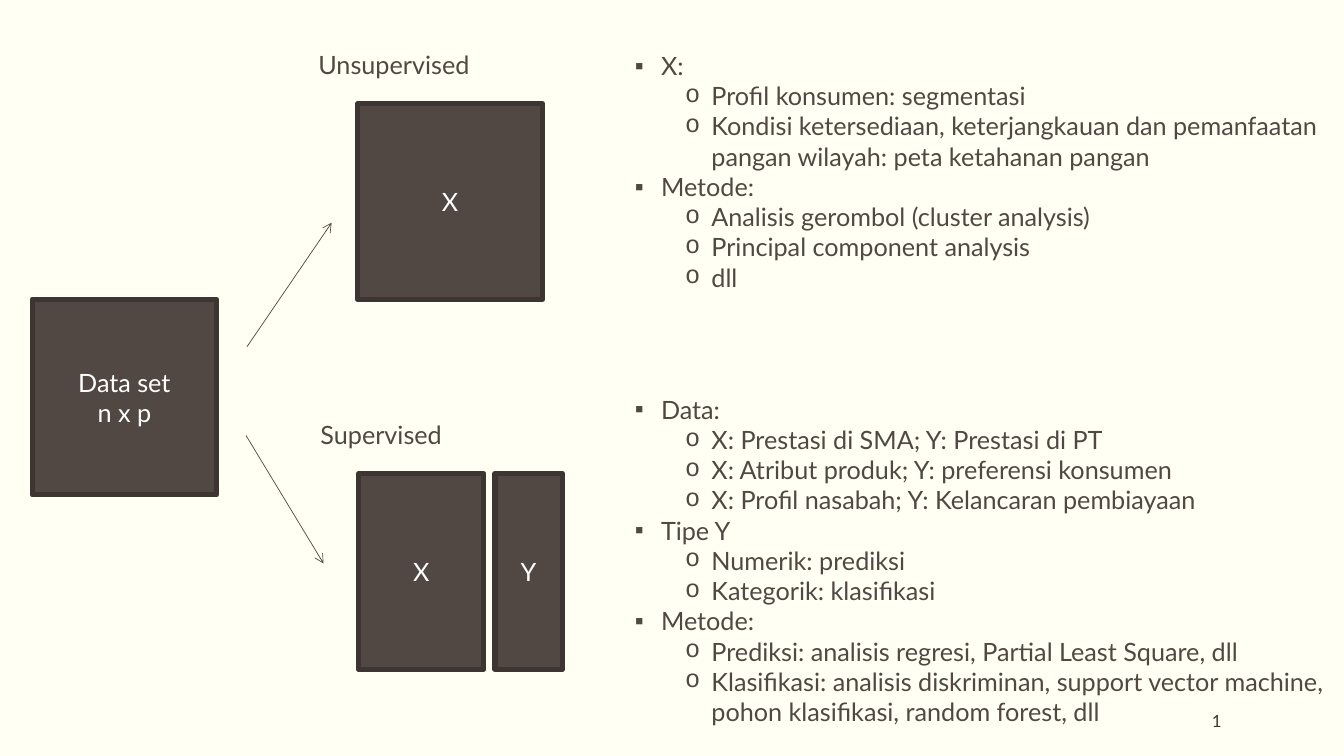
"""Build a slide that compares unsupervised and supervised learning."""
from lxml import etree
from pptx import Presentation
from pptx import util as u
from pptx.dml.color import RGBColor
from pptx.enum import shapes, text
from pptx.oxml import ns

IVORY = RGBColor(0xFF, 0xFF, 0xF3)
BROWN = RGBColor(0x51, 0x48, 0x43)
DARK = RGBColor(0x3C, 0x35, 0x32)
NUMBER = RGBColor(0x3D, 0x36, 0x32)
WHITE = RGBColor(0xFF, 0xFF, 0xFF)
BOX_HEIGHT = 139.7
BULLETS = [("▪", "Arial", 18.7), ("o", "Courier New", 54.7)]
HANGING = 18.7


def add_span(para, words, color, size=18):
    span = para.add_run()
    span.text = words
    span.font.name = "Lato"
    span.font.size = u.Pt(size)
    span.font.color.rgb = color


def add_text_box(left, top, width, height):
    box = page.shapes.add_textbox(u.Pt(left), u.Pt(top), u.Pt(width), u.Pt(height))
    box.text_frame.word_wrap = True
    return box.text_frame


deck = Presentation()
deck.slide_width, deck.slide_height = u.Pt(960), u.Pt(540)
page = deck.slides.add_slide(deck.slide_layouts[6])
page.background.fill.solid()
page.background.fill.fore_color.rgb = IVORY

data_boxes = [
    (23, 213.8, 131.8, ["Data set", "n x p"]),
    (255.6, 74.2, 131.8, ["X"]),
    (256.3, 338.4, 89.3, ["X"]),
    (353.5, 338.4, 48.2, ["Y"]),
]
for left, top, width, lines in data_boxes:
    box = page.shapes.add_shape(shapes.MSO_SHAPE.RECTANGLE, u.Pt(left), u.Pt(top),
                                u.Pt(width), u.Pt(BOX_HEIGHT))
    box.shadow.inherit = False
    box.fill.solid()
    box.fill.fore_color.rgb = BROWN
    box.line.color.rgb = DARK
    box.line.width = u.Pt(3.78)
    frame = box.text_frame
    frame.vertical_anchor = text.MSO_ANCHOR.MIDDLE
    for index, line in enumerate(lines):
        para = frame.add_paragraph() if index else frame.paragraphs[0]
        para.alignment = text.PP_ALIGN.CENTER
        add_span(para, line, WHITE)

for left, top, title in [(220.3, 31.7, "Unsupervised"), (221.8, 295.9, "Supervised")]:
    frame = add_text_box(left, top, 150.5, 28.8)
    add_span(frame.paragraphs[0], title, BROWN)

unsupervised_notes = [
    (0, "X:"),
    (1, "Profil konsumen: segmentasi"),
    (1, "Kondisi ketersediaan, keterjangkauan dan pemanfaatan pangan wilayah: "
        "peta ketahanan pangan"),
    (0, "Metode:"),
    (1, "Analisis gerombol (cluster analysis)"),
    (1, "Principal component analysis"),
    (1, "dll"),
]
supervised_notes = [
    (0, "Data:"),
    (1, "X: Prestasi di SMA; Y: Prestasi di PT"),
    (1, "X: Atribut produk; Y: preferensi konsumen"),
    (1, "X: Profil nasabah; Y: Kelancaran pembiayaan"),
    (0, "Tipe Y"),
    (1, "Numerik: prediksi"),
    (1, "Kategorik: klasifikasi"),
    (0, "Metode:"),
    (1, "Prediksi: analisis regresi, Partial Least Square, dll"),
    (1, "Klasifikasi: analisis diskriminan, support vector machine, "
        "pohon klasifikasi, random forest, dll"),
]
for top, height, notes in [(32.4, 225.4, unsupervised_notes), (277.9, 269.3, supervised_notes)]:
    frame = add_text_box(446.4, top, 514.1, height)
    for index, (level, words) in enumerate(notes):
        para = frame.add_paragraph() if index else frame.paragraphs[0]
        para.level = level
        symbol, typeface, margin = BULLETS[level]
        props = para._p.get_or_add_pPr()
        props.set("marL", str(u.Pt(margin)))
        props.set("indent", str(-u.Pt(HANGING)))
        etree.SubElement(props, ns.qn("a:buFont"), typeface=typeface)
        etree.SubElement(props, ns.qn("a:buChar"), char=symbol)
        add_span(para, words, BROWN)

for start_x, start_y, end_x, end_y in [(176.4, 247.7, 236.9, 159.1), (175.7, 311, 231.1, 402.5)]:
    arrow = page.shapes.add_connector(shapes.MSO_CONNECTOR.STRAIGHT, u.Pt(start_x),
                                      u.Pt(start_y), u.Pt(end_x), u.Pt(end_y))
    arrow.line.color.rgb = BROWN
    arrow.line.width = u.Pt(0.5)
    etree.SubElement(arrow.line._get_or_add_ln(), ns.qn("a:tailEnd"), type="arrow")
    etree.SubElement(arrow._element.spPr, ns.qn("a:effectLst"))

frame = add_text_box(728.6, 500.4, 144, 28.8)
frame.margin_left = frame.margin_right = 0
frame.vertical_anchor = text.MSO_ANCHOR.MIDDLE
frame.paragraphs[0].alignment = text.PP_ALIGN.RIGHT
add_span(frame.paragraphs[0], "1", NUMBER, 12)

deck.save("out.pptx")
